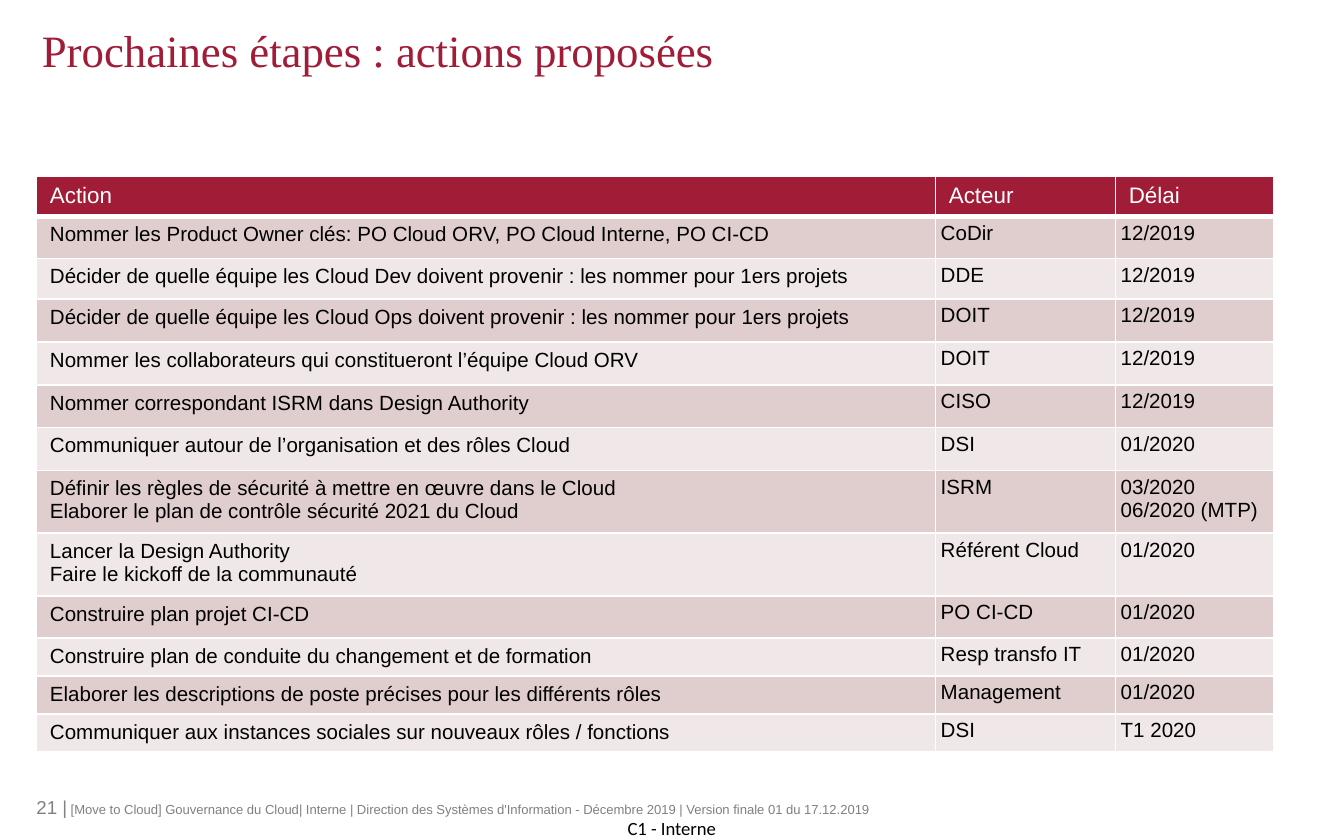
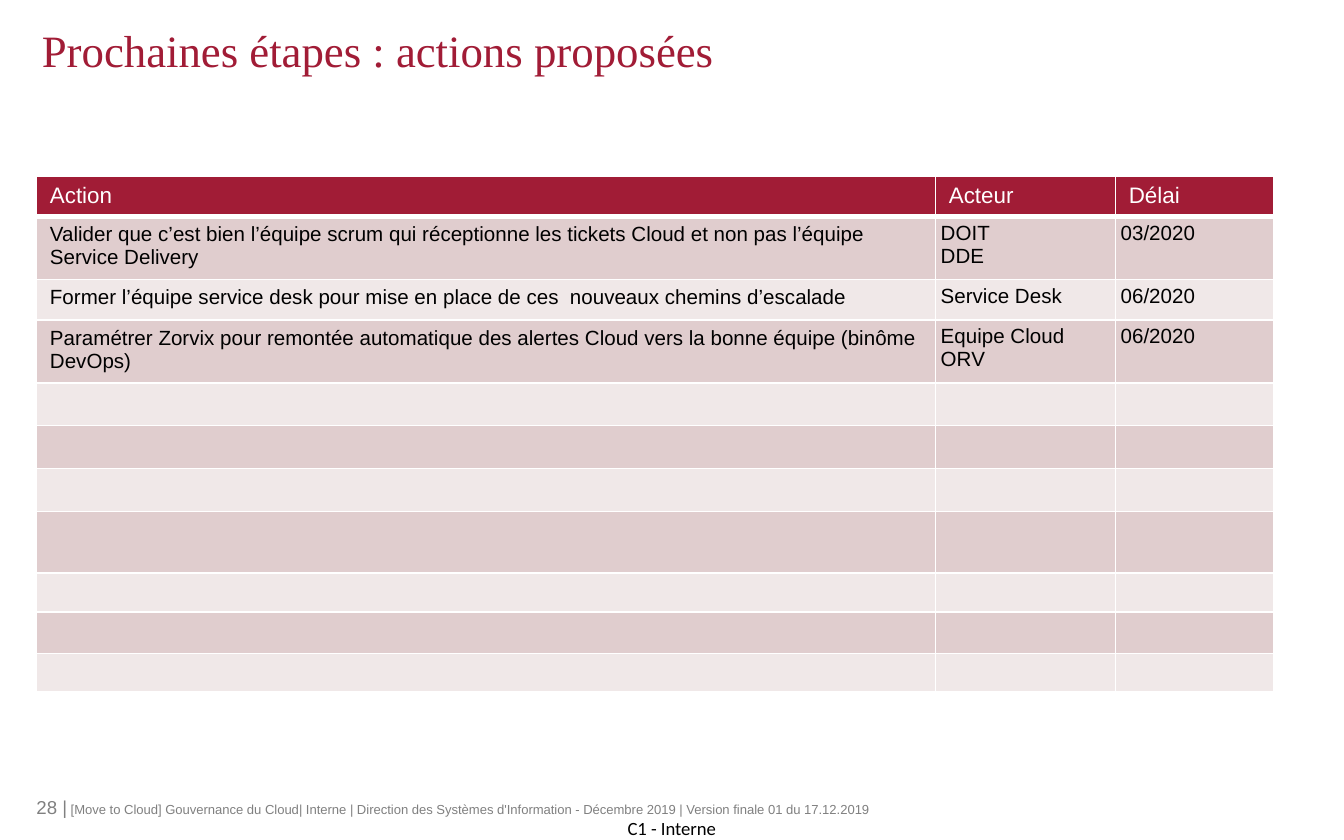
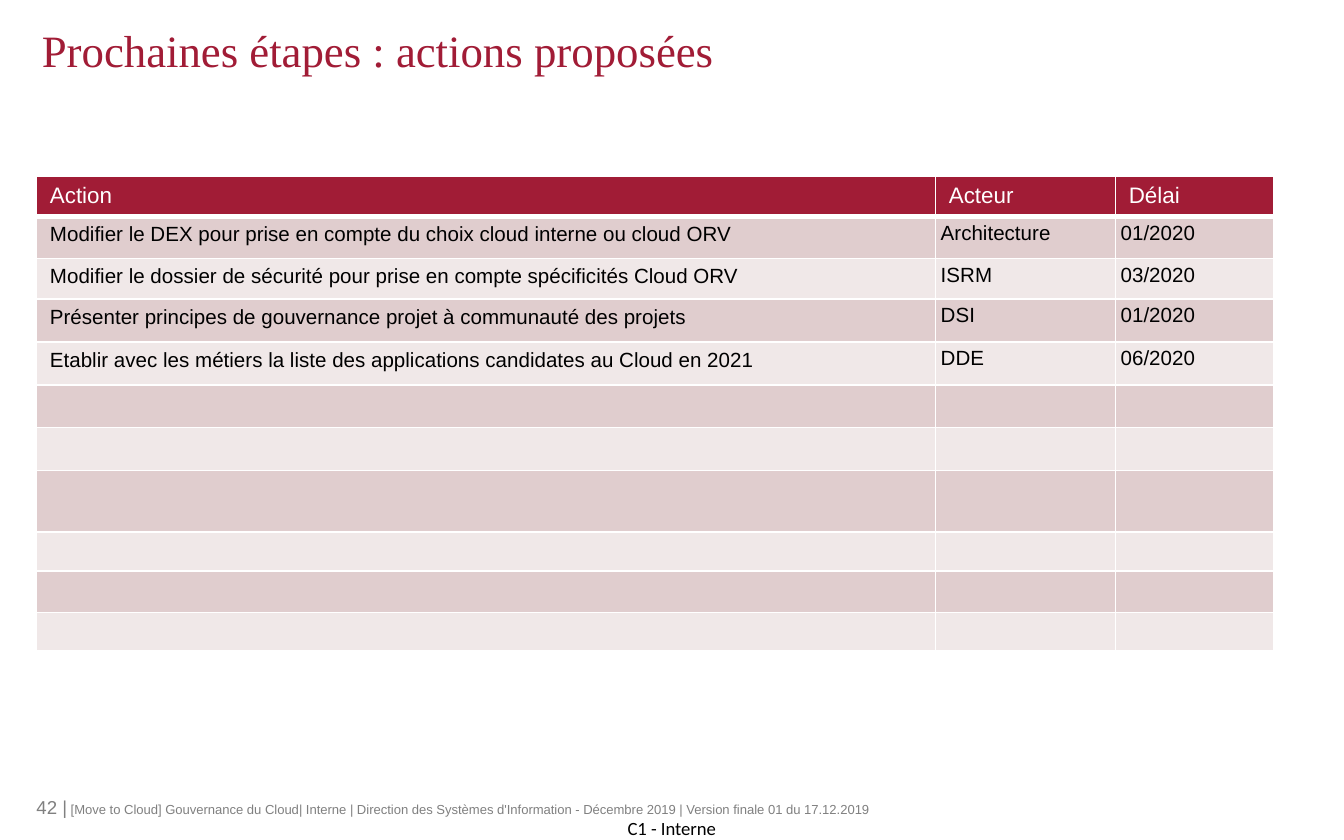
import pptx
import pptx.dml.color
import pptx.enum.text
import pptx.oxml
import pptx.util
from lxml import etree
from pptx.util import Cm, Pt

RGBColor = pptx.dml.color.RGBColor
MSO_ANCHOR = pptx.enum.text.MSO_ANCHOR
PP_ALIGN = pptx.enum.text.PP_ALIGN

CRIMSON = RGBColor(0xA1, 0x1C, 0x36)
DARK_BAND = RGBColor(0xE0, 0xCD, 0xCE)
LIGHT_BAND = RGBColor(0xF0, 0xE8, 0xE8)
GREY = RGBColor(0x80, 0x80, 0x80)
BLACK = RGBColor(0x00, 0x00, 0x00)
WHITE = RGBColor(0xFF, 0xFF, 0xFF)

TITLE = "Prochaines étapes : actions proposées"
FOOTER = (
    " [Move to Cloud] Gouvernance du Cloud| Interne | Direction des Systèmes "
    "d'Information - Décembre 2019 | Version finale 01 du 17.12.2019"
)
CLASSIFICATION = "C1 - Interne"
HEADERS = ("Action", "Acteur", "Délai")

# Page number, number of body rows, actions
ACTION_PLANS = [
    (21, 12, [
        ("Nommer les Product Owner clés: PO Cloud ORV, PO Cloud Interne, PO CI-CD", "CoDir", "12/2019"),
        ("Décider de quelle équipe les Cloud Dev doivent provenir : les nommer pour 1ers projets",
         "DDE", "12/2019"),
        ("Décider de quelle équipe les Cloud Ops doivent provenir : les nommer pour 1ers projets",
         "DOIT", "12/2019"),
        ("Nommer les collaborateurs qui constitueront l’équipe Cloud ORV", "DOIT", "12/2019"),
        ("Nommer correspondant ISRM dans Design Authority", "CISO", "12/2019"),
        ("Communiquer autour de l’organisation et des rôles Cloud", "DSI", "01/2020"),
        ("Définir les règles de sécurité à mettre en œuvre dans le Cloud\n"
         "Elaborer le plan de contrôle sécurité 2021 du Cloud", "ISRM", "03/2020\n06/2020 (MTP)"),
        ("Lancer la Design Authority\nFaire le kickoff de la communauté", "Référent Cloud", "01/2020"),
        ("Construire plan projet CI-CD", "PO CI-CD", "01/2020"),
        ("Construire plan de conduite du changement et de formation", "Resp transfo IT", "01/2020"),
        ("Elaborer les descriptions de poste précises pour les différents rôles", "Management", "01/2020"),
        ("Communiquer aux instances sociales sur nouveaux rôles / fonctions", "DSI", "T1 2020"),
    ]),
    (28, 10, [
        ("Valider que c’est bien l’équipe scrum qui réceptionne les tickets Cloud et non pas "
         "l’équipe Service Delivery", "DOIT\nDDE", "03/2020"),
        ("Former l’équipe service desk pour mise en place de ces  nouveaux chemins d’escalade",
         "Service Desk", "06/2020"),
        ("Paramétrer Zorvix pour remontée automatique des alertes Cloud vers la bonne équipe "
         "(binôme DevOps)", "Equipe Cloud ORV", "06/2020"),
    ]),
    (42, 10, [
        ("Modifier le DEX pour prise en compte du choix cloud interne ou cloud ORV",
         "Architecture", "01/2020"),
        ("Modifier le dossier de sécurité pour prise en compte spécificités Cloud ORV", "ISRM", "03/2020"),
        ("Présenter principes de gouvernance projet à communauté des projets", "DSI", "01/2020"),
        ("Etablir avec les métiers la liste des applications candidates au Cloud en 2021",
         "DDE", "06/2020"),
    ]),
]

LEFT = Cm(0.69)
TABLE_TOP = Cm(3.33)
COLUMN_WIDTHS = (Cm(16.99), Cm(3.4), Cm(3))
HEADER_HEIGHT = Cm(0.72)
BODY_HEIGHTS = [Cm(height) for height in
                (0.79, 0.77, 0.81, 0.81, 0.81, 0.81, 1.16, 0.74, 0.79, 0.72, 0.72, 0.72)]


def format_run(run, font_name, size, color):
    run.font.name = font_name
    run.font.size = Pt(size)
    run.font.bold = False
    run.font.color.rgb = color


def set_margins(target, left, top, right, bottom):
    target.margin_left, target.margin_top = Cm(left), Cm(top)
    target.margin_right, target.margin_bottom = Cm(right), Cm(bottom)


def add_title(slide):
    title = slide.shapes.title
    title.left, title.top, title.width, title.height = LEFT, Cm(0.33), Cm(23.8), Cm(3)
    frame = title.text_frame
    frame.text = TITLE
    frame.word_wrap = True
    frame.auto_size = pptx.enum.text.MSO_AUTO_SIZE.NONE
    frame.vertical_anchor = MSO_ANCHOR.TOP
    set_margins(frame, 0.1, 0.1, 0, 0)
    frame.paragraphs[0].alignment = PP_ALIGN.LEFT
    format_run(frame.paragraphs[0].runs[0], "Times New Roman", 24, CRIMSON)


def add_footer_text(slide, box, anchor, wrap, runs):
    """Add one line without margins; runs hold text, font, size and colour."""
    frame = slide.shapes.add_textbox(*box).text_frame
    set_margins(frame, 0, 0, 0, 0)
    frame.word_wrap = wrap
    frame.vertical_anchor = anchor
    for text, *style in runs:
        run = frame.paragraphs[0].add_run()
        run.text = text
        format_run(run, *style)


def add_footers(slide, page_number):
    add_footer_text(slide, (LEFT, Cm(14.94), Cm(17.5), Cm(0.64)), MSO_ANCHOR.MIDDLE, True,
                    [(f"{page_number} |", "Arial", 10, GREY), (FOOTER, "Arial", 7, GREY)])
    add_footer_text(slide, (Cm(11.86), Cm(15.44), Cm(1.78), Cm(0.43)), MSO_ANCHOR.TOP, False,
                    [(CLASSIFICATION, "Calibri", 10, BLACK)])


def set_borders(cell, bottom_width):
    """Draw white borders; call it before the fill, which must follow them in the XML."""
    properties = cell._tc.get_or_add_tcPr()
    for side, width in (("L", 1), ("R", 1), ("T", 1), ("B", bottom_width)):
        line = etree.SubElement(properties, pptx.oxml.ns.qn(f"a:ln{side}"), w=str(Pt(width)))
        fill = etree.SubElement(line, pptx.oxml.ns.qn("a:solidFill"))
        etree.SubElement(fill, pptx.oxml.ns.qn("a:srgbClr"), val=str(WHITE))


def fill_cell(cell, text, size, color, background, bottom_width=1):
    set_borders(cell, bottom_width)
    cell.fill.solid()
    cell.fill.fore_color.rgb = background
    cell.text_frame.text = text
    for paragraph in cell.text_frame.paragraphs:
        for run in paragraph.runs:
            format_run(run, "Arial", size, color)
        if not paragraph.runs:
            # Keeps an empty row from growing to the default text size
            etree.SubElement(paragraph._p, pptx.oxml.ns.qn("a:endParaRPr"), sz=str(size * 100))


def add_action_table(slide, row_count, actions):
    heights = [HEADER_HEIGHT] + BODY_HEIGHTS[:row_count]
    table = slide.shapes.add_table(len(heights), len(HEADERS), LEFT, TABLE_TOP,
                                   sum(COLUMN_WIDTHS), sum(heights)).table
    table.horz_banding = False
    for column, width in zip(table.columns, COLUMN_WIDTHS):
        column.width = width
    for row, height in zip(table.rows, heights):
        row.height = height

    for column, header in enumerate(HEADERS):
        fill_cell(table.cell(0, column), header, 12, WHITE, CRIMSON, bottom_width=3)
    empty_rows = [("", "", "")] * (row_count - len(actions))
    for row, action in enumerate(actions + empty_rows, start=1):
        background = DARK_BAND if row % 2 else LIGHT_BAND
        for column, text in enumerate(action):
            cell = table.cell(row, column)
            fill_cell(cell, text, 11, BLACK, background)
            if column and text:
                set_margins(cell, 0.1, 0.1, 0.1, 0.1)


def main():
    presentation = pptx.Presentation()
    presentation.slide_width = Cm(25.4)
    presentation.slide_height = Cm(15.88)
    title_only = presentation.slide_layouts[5]
    for page_number, row_count, actions in ACTION_PLANS:
        slide = presentation.slides.add_slide(title_only)
        add_footers(slide, page_number)
        add_title(slide)
        add_action_table(slide, row_count, actions)
    presentation.save("out.pptx")


if __name__ == "__main__":
    main()
